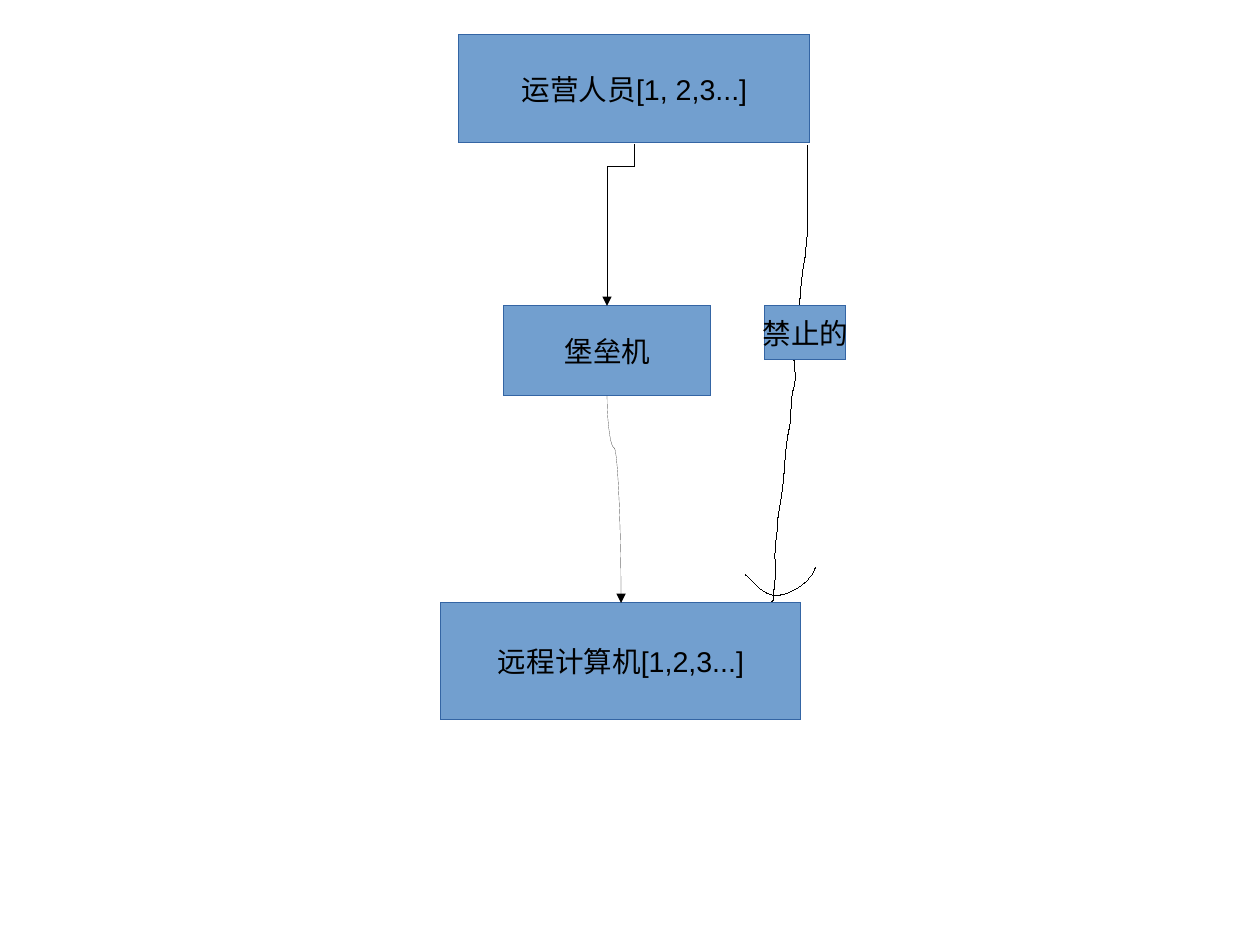
from dataclasses import dataclass

from lxml import etree
from pptx import Presentation
from pptx import util as u
from pptx.dml import color
from pptx.enum import shapes, text
from pptx.oxml import ns

PX = 8000  # 45 px to the centimetre
PAGE_WIDTH, PAGE_HEIGHT = 1260, 945
BLUE, EDGE, BLACK = "729FCF", "3465A4", "000000"
PROCESS = shapes.MSO_SHAPE.FLOWCHART_PROCESS
RECTANGLE = shapes.MSO_SHAPE.RECTANGLE
ELBOW, CURVE = shapes.MSO_CONNECTOR.ELBOW, shapes.MSO_CONNECTOR.CURVE
STEPS = 8

Point = tuple[int, int]


@dataclass
class Box:
    label: str
    left: int
    top: int
    width: int
    height: int
    kind: shapes.MSO_SHAPE = PROCESS


@dataclass
class Arrow:
    kind: shapes.MSO_CONNECTOR
    start: Point
    end: Point
    bend: int  # thousandths of the length


@dataclass
class Stroke:
    start: Point
    curves: list[tuple[int, ...]]  # two control points and an end point
    tail: list[Point]


BOXES = [
    Box("运营人员[1, 2,3...]", 459, 35, 351, 108),
    Box("远程计算机[1,2,3...]", 441, 603, 360, 117),
    Box("堡垒机", 504, 306, 207, 90),
]
FORBIDDEN = Box("禁止的", 765, 306, 81, 54, RECTANGLE)

ARROWS = [
    Arrow(ELBOW, (634, 144), (607, 306), 139),
    Arrow(CURVE, (607, 396), (621, 603), 250),
]

STROKES = [
    # Forbidden path
    Stroke((808, 146), [
        (808, 158, 808, 170, 808, 182),
        (808, 194, 807, 206, 808, 218),
        (808, 232, 806, 245, 805, 258),
        (802, 272, 801, 286, 800, 299),
        (798, 317, 790, 326, 792, 342),
        (793, 357, 798, 377, 793, 391),
        (790, 403, 792, 416, 789, 430),
        (786, 443, 785, 458, 784, 474),
        (783, 489, 780, 503, 778, 518),
        (778, 530, 775, 542, 775, 554),
        (775, 566, 776, 578, 774, 590),
    ], [(773, 601), (772, 602)]),
    # Its hand-drawn head
    Stroke((746, 575), [
        (756, 584, 767, 599, 781, 595),
        (794, 592, 808, 583, 815, 569),
    ], [(816, 568)]),
]


def rgb(value: str) -> color.RGBColor:
    return color.RGBColor.from_string(value)


def apply(target, values: dict) -> None:
    for name, value in values.items():
        setattr(target, name, value)


def hairline(shape, value: str) -> None:
    shape.line.color.rgb = rgb(value)
    # A zero width has to be written out, or the theme width applies
    shape._element.spPr.find(ns.qn("a:ln")).set("w", "0")


def draw_box(page, item: Box) -> None:
    box = page.shapes.add_shape(
        item.kind, *(n * PX for n in (item.left, item.top, item.width, item.height)))
    box.shadow.inherit = False
    box.fill.solid()
    box.fill.fore_color.rgb = rgb(BLUE)
    hairline(box, EDGE)
    apply(box.text_frame, {
        "word_wrap": False,
        "vertical_anchor": text.MSO_ANCHOR.MIDDLE,
    })
    para = box.text_frame.paragraphs[0]
    para.alignment = text.PP_ALIGN.CENTER
    span = para.add_run()
    span.text = item.label
    apply(span.font, {"size": u.Pt(18), "name": "Arial"})
    span.font.color.rgb = rgb(BLACK)


def draw_arrow(page, item: Arrow) -> None:
    (x1, y1), (x2, y2) = item.start, item.end
    # A downward route is a sideways one turned about its centre
    half, rise = (y2 - y1) / 2, abs(x2 - x1) / 2
    mid_x, mid_y = (x1 + x2) / 2, (y1 + y2) / 2
    side = 1 if x2 < x1 else -1
    ends = (mid_x - side * half, mid_y - rise, mid_x + side * half, mid_y + rise)
    link = page.shapes.add_connector(item.kind, *(int(n * PX) for n in ends))
    hairline(link, BLACK)
    properties = link._element.spPr
    properties.find(ns.qn("a:xfrm")).set("rot", str((90 if side > 0 else 270) * 60000))
    guides = properties.find(ns.qn("a:prstGeom")).find(ns.qn("a:avLst"))
    etree.SubElement(guides, ns.qn("a:gd"), name="adj1", fmla=f"val {item.bend * 100}")
    etree.SubElement(properties.find(ns.qn("a:ln")), ns.qn("a:tailEnd"), type="triangle")
    etree.SubElement(properties, ns.qn("a:effectLst"))


def curve_points(start: Point, curve: tuple[int, ...]) -> list[tuple[float, float]]:
    def at(t: float, axis: int) -> float:
        a, b, c, d = start[axis], curve[axis], curve[axis + 2], curve[axis + 4]
        s = 1 - t
        return s**3 * a + 3 * s * s * t * b + 3 * s * t * t * c + t**3 * d

    return [(at(i / STEPS, 0), at(i / STEPS, 1)) for i in range(1, STEPS + 1)]


def draw_stroke(page, item: Stroke) -> None:
    points, start = [], item.start
    for curve in item.curves:
        points += curve_points(start, curve)
        start = curve[4:]
    points += item.tail
    builder = page.shapes.build_freeform(*(n * PX for n in item.start), scale=1.0)
    builder.add_line_segments([(x * PX, y * PX) for x, y in points], close=False)
    stroke = builder.convert_to_shape()
    stroke.shadow.inherit = False
    stroke.fill.background()
    hairline(stroke, BLACK)


def main() -> None:
    deck = Presentation()
    apply(deck, {"slide_width": PAGE_WIDTH * PX, "slide_height": PAGE_HEIGHT * PX})
    page = deck.slides.add_slide(deck.slide_layouts[6])
    for item in BOXES:
        draw_box(page, item)
    for item in ARROWS:
        draw_arrow(page, item)
    for item in STROKES:
        draw_stroke(page, item)
    # The label covers the forbidden path
    draw_box(page, FORBIDDEN)
    deck.save("out.pptx")


if __name__ == "__main__":
    main()
